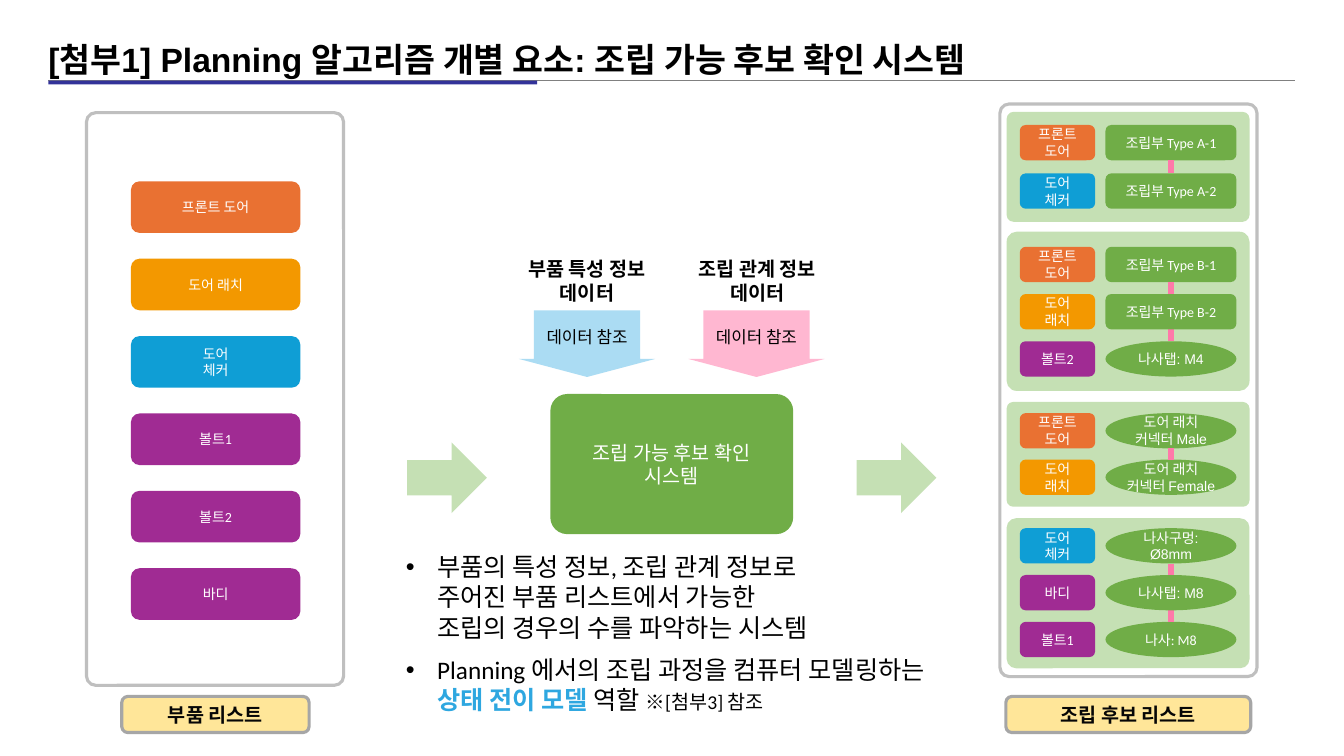
from dataclasses import dataclass

from lxml.etree import SubElement
from pptx import Presentation
from pptx.dml.color import RGBColor
from pptx.enum.shapes import MSO_CONNECTOR, MSO_SHAPE
from pptx.enum.text import MSO_ANCHOR, MSO_AUTO_SIZE, PP_ALIGN
from pptx.oxml.ns import qn
from pptx.util import Cm, Pt

BLACK = RGBColor(0x00, 0x00, 0x00)
WHITE = RGBColor(0xFF, 0xFF, 0xFF)
CAPTION_TEXT = RGBColor(0x06, 0x06, 0x06)
CAPTION_FILL = RGBColor(0xFF, 0xE6, 0x99)
CAPTION_EDGE = RGBColor(0xA6, 0xA6, 0xA6)
PANEL_EDGE = RGBColor(0xBF, 0xBF, 0xBF)
RULE_GRAY = RGBColor(0x80, 0x80, 0x80)
NAVY = RGBColor(0x33, 0x33, 0x99)
GREEN = RGBColor(0x70, 0xAD, 0x47)
PALE_GREEN = RGBColor(0xC5, 0xE0, 0xB4)
PALE_BLUE = RGBColor(0xAB, 0xDC, 0xF3)
PALE_PINK = RGBColor(0xFF, 0xB7, 0xD1)
LINK_PINK = RGBColor(0xFF, 0x79, 0xA9)
ACCENT_BLUE = RGBColor(0x2E, 0xA7, 0xE0)
ORANGE = RGBColor(0xE9, 0x71, 0x32)
AMBER = RGBColor(0xF3, 0x98, 0x00)
BLUE = RGBColor(0x0F, 0x9E, 0xD5)
PURPLE = RGBColor(0xA0, 0x2B, 0x93)

ROUND, OVAL = MSO_SHAPE.ROUNDED_RECTANGLE, MSO_SHAPE.OVAL


@dataclass(frozen=True)
class Component:
    name: str
    color: RGBColor


@dataclass(frozen=True)
class Feature:
    component: Component
    text: str
    kind: MSO_SHAPE = ROUND
    font: str = "Calibri"


@dataclass(frozen=True)
class Candidate:
    top: float
    height: float
    first_row: float
    step: float
    features: tuple[Feature, ...]


FRONT_DOOR = Component("프론트 도어", ORANGE)
LATCH = Component("도어 래치", AMBER)
CHECKER = Component("도어\n체커", BLUE)
BOLT_1 = Component("볼트1", PURPLE)
BOLT_2 = Component("볼트2", PURPLE)
BODY = Component("바디", PURPLE)
COMPONENTS = (FRONT_DOOR, LATCH, CHECKER, BOLT_1, BOLT_2, BODY)

CANDIDATES = (
    Candidate(2.82, 2.77, 3.15, 1.22, (
        Feature(FRONT_DOOR, "조립부 Type A-1"),
        Feature(CHECKER, "조립부 Type A-2"))),
    Candidate(5.84, 4.01, 6.22, 1.19, (
        Feature(FRONT_DOOR, "조립부 Type B-1"),
        Feature(LATCH, "조립부 Type B-2"),
        Feature(BOLT_2, "나사탭: M4", OVAL, "Arial"))),
    Candidate(10.13, 2.64, 10.41, 1.17, (
        Feature(FRONT_DOOR, "도어 래치 커넥터 Male", OVAL, "Arial"),
        Feature(LATCH, "도어 래치 커넥터 Female", OVAL, "Arial"))),
    Candidate(13.06, 3.78, 13.31, 1.18, (
        Feature(CHECKER, "나사구멍: Ø8mm", OVAL, "Arial"),
        Feature(BODY, "나사탭: M8", OVAL, "Arial"),
        Feature(BOLT_1, "나사: M8", OVAL))),
)

deck = Presentation()
deck.slide_width, deck.slide_height = Cm(33.87), Cm(19.05)
page = deck.slides.add_slide(deck.slide_layouts[6])


def add_span(para, text: str, *, size=10, color=WHITE, font="Calibri", bold=False) -> None:
    """Append text; each newline becomes a line break."""
    for number, line in enumerate(text.split("\n")):
        if number:
            para.add_line_break()
        if line:
            span = para.add_run()
            span.text = line
            span.font.size, span.font.name, span.font.bold = Pt(size), font, bold
            span.font.color.rgb = color


def add_paragraphs(frame, text: str, *, align=PP_ALIGN.CENTER, **style) -> None:
    for number, line in enumerate(text.split("\n")):
        para = frame.add_paragraph() if number else frame.paragraphs[0]
        para.alignment = align
        add_span(para, line, **style)


def add_block(kind: MSO_SHAPE, left: float, top: float, width: float, height: float, *,
              fill=None, edge=None, adjust=(), text="", inset=True, **style):
    box = page.shapes.add_shape(kind, Cm(left), Cm(top), Cm(width), Cm(height))
    box.shadow.inherit = False
    for index, value in enumerate(adjust):
        box.adjustments[index] = value
    if fill is None:
        box.fill.background()
    else:
        box.fill.solid()
        box.fill.fore_color.rgb = fill
    if edge is None:
        box.line.fill.background()
    else:
        box.line.color.rgb, box.line.width = edge, Pt(2.25)
    if text:
        frame = box.text_frame
        frame.word_wrap, frame.vertical_anchor = True, MSO_ANCHOR.MIDDLE
        if not inset:
            frame.margin_left = frame.margin_right = 0
            frame.margin_top = frame.margin_bottom = 0
        add_paragraphs(frame, text, **style)
    return box


def add_text_box(left: float, top: float, width: float, height: float):
    box = page.shapes.add_textbox(Cm(left), Cm(top), Cm(width), Cm(height))
    box.text_frame.word_wrap = True
    box.text_frame.auto_size = MSO_AUTO_SIZE.SHAPE_TO_FIT_TEXT
    return box.text_frame


def add_bullet(left: float, top: float, width: float, height: float):
    para = add_text_box(left, top, width, height).paragraphs[0]
    properties = para._p.get_or_add_pPr()
    properties.set("marL", str(Cm(0.79)))
    properties.set("indent", str(-Cm(0.79)))
    SubElement(properties, qn("a:buFont")).set("typeface", "Arial")
    SubElement(properties, qn("a:buChar")).set("char", "•")
    return para


def add_line(start_x: int, start_y: int, end_x: int, end_y: int, color: RGBColor, width: float):
    line = page.shapes.add_connector(MSO_CONNECTOR.STRAIGHT, start_x, start_y, end_x, end_y)
    line.line.color.rgb, line.line.width = color, Pt(width)
    SubElement(line._element.spPr, qn("a:effectLst"))
    return line


def add_feature(feature: Feature, top: float):
    component = feature.component
    add_block(ROUND, 25.7, top, 1.9, 0.89, fill=component.color, text=component.name)
    return add_block(feature.kind, 27.86, top, 3.3, 0.89, fill=GREEN, text=feature.text,
                     font=feature.font, inset=False)


def add_candidate(candidate: Candidate) -> None:
    add_block(ROUND, 25.37, candidate.top, 6.12, candidate.height, fill=PALE_GREEN, adjust=(0.062,))
    rows = [(feature, candidate.first_row + index * candidate.step)
            for index, feature in enumerate(candidate.features)]
    first, last = add_feature(*rows[0]), add_feature(*rows[-1])
    center = first.left + first.width // 2
    link = add_line(center, first.top + first.height, center, last.top, LINK_PINK, 4.5)
    if rows[0][0].kind == ROUND:
        link.begin_connect(first, 2)
    if rows[-1][0].kind == ROUND:
        link.end_connect(last, 0)
    # Middle rows cover the link
    for row in rows[1:-1]:
        add_feature(*row)


# Title
add_paragraphs(add_text_box(0.97, 0.86, 25.96, 1.27),
               "[첨부1] Planning 알고리즘 개별 요소: 조립 가능 후보 확인 시스템",
               align=PP_ALIGN.LEFT, size=24, color=BLACK, font="Arial", bold=True)
add_line(Cm(1.22), Cm(2.03), Cm(32.64), Cm(2.03), RULE_GRAY, 1)
add_block(MSO_SHAPE.RECTANGLE, 1.22, 2.03, 12.32, 0.1, fill=NAVY)

# Panels and captions
for left, top in ((2.18, 2.84), (25.2, 2.62)):
    add_block(ROUND, left, top, 6.48, 14.43, edge=PANEL_EDGE, adjust=(0.036,))
for left, width, caption in ((3.07, 4.72, "부품 리스트"), (25.35, 6.17, "조립 후보 리스트")):
    add_block(ROUND, left, 17.55, width, 0.91, fill=CAPTION_FILL, edge=CAPTION_EDGE,
              text=caption, size=14, color=CAPTION_TEXT, bold=True)

# Component list
for index, component in enumerate(COMPONENTS):
    add_block(ROUND, 3.3, 4.57 + index * 1.95, 4.27, 1.3, fill=component.color, text=component.name)

# System with its data sources
add_block(ROUND, 13.87, 9.93, 6.12, 3.53, fill=GREEN, adjust=(0.12,),
          text="조립 가능 후보 확인 시스템", size=14)
for left, fill, label_left, label in ((13.08, PALE_BLUE, 12.78, "부품 특성 정보 데이터"),
                                      (17.35, PALE_PINK, 17.07, "조립 관계 정보\n데이터")):
    add_block(MSO_SHAPE.DOWN_ARROW, left, 7.82, 3.43, 1.68, fill=fill, adjust=(0.78, 0.27),
              text="데이터 참조", size=12, color=BLACK)
    add_paragraphs(add_text_box(label_left, 6.35, 4.03, 1.45), label,
                   size=14, color=BLACK, bold=True)
for left in (10.26, 21.59):
    add_block(MSO_SHAPE.RIGHT_ARROW, left, 11.15, 2.01, 1.78, fill=PALE_GREEN)

# Explanation
add_span(add_bullet(9.98, 13.77, 11.48, 2.57),
         "부품의 특성 정보, 조립 관계 정보로\n주어진 부품 리스트에서 가능한\n"
         "조립의 경우의 수를 파악하는 시스템", size=18, color=BLACK)
role = add_bullet(9.98, 16.36, 14.48, 1.8)
add_span(role, "Planning 에서의 조립 과정을 컴퓨터 모델링하는\n", size=18, color=BLACK)
add_span(role, "상태 전이 모델 ", size=18, color=ACCENT_BLUE, bold=True)
add_span(role, "역할 ", size=18, color=BLACK)
add_span(role, "※[첨부3] 참조", size=14, color=BLACK)

# Candidate list
for candidate in CANDIDATES:
    add_candidate(candidate)

deck.save("out.pptx")
